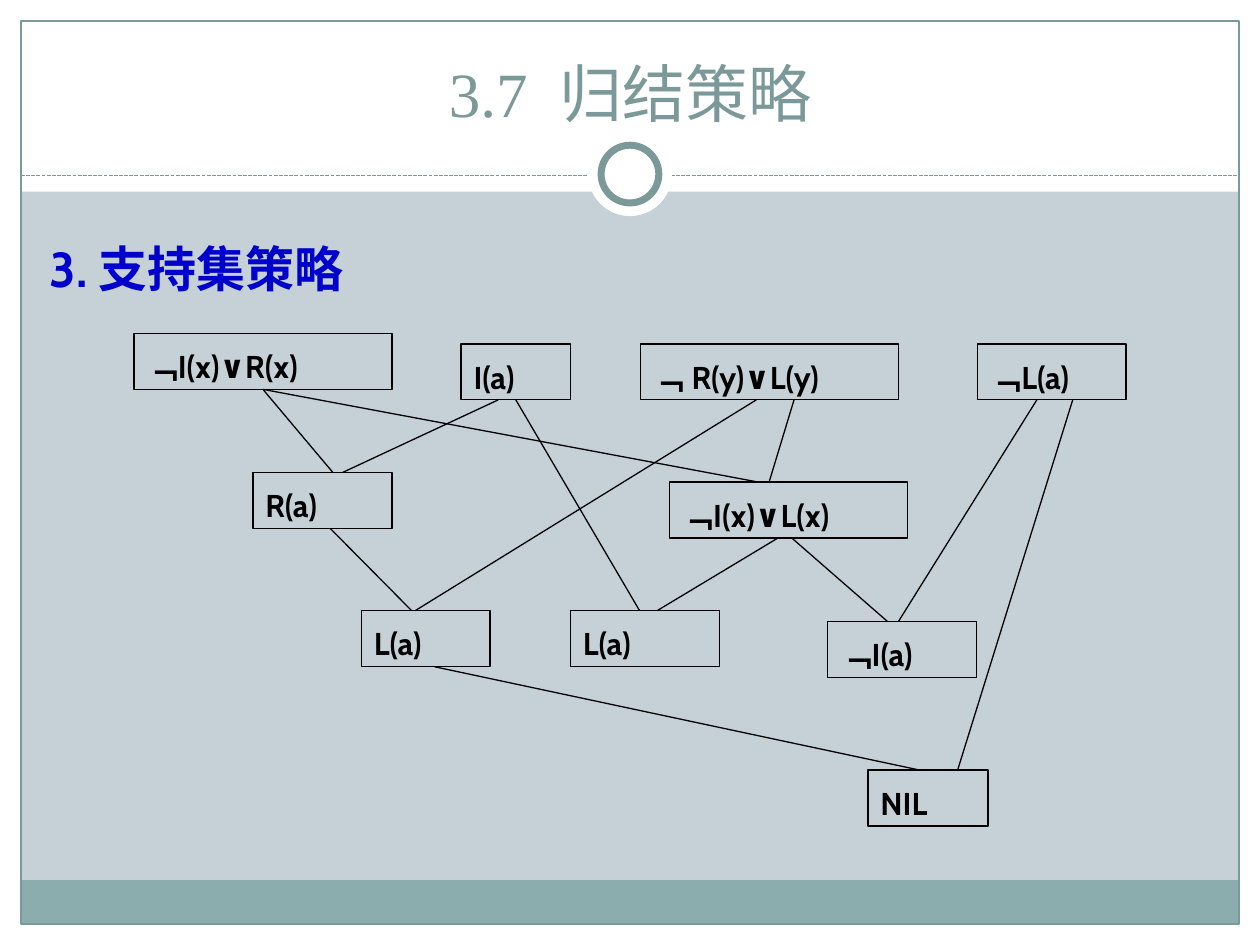
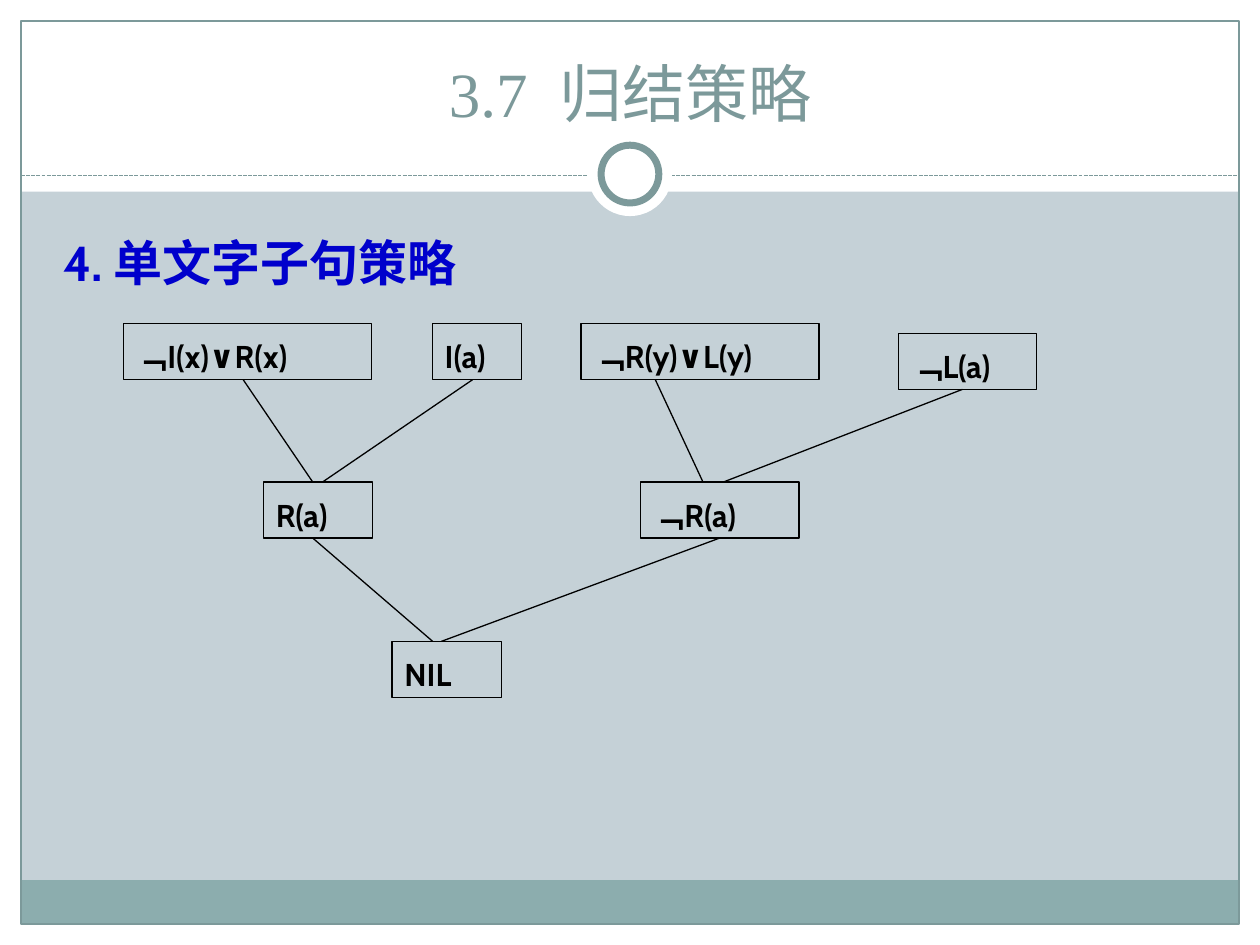
from lxml.etree import SubElement
from pptx import Presentation
from pptx.dml.color import RGBColor
from pptx.enum.dml import MSO_LINE
from pptx.enum.shapes import MSO_CONNECTOR, MSO_SHAPE
from pptx.enum.text import MSO_ANCHOR, MSO_AUTO_SIZE, PP_ALIGN
from pptx.oxml.ns import qn
from pptx.util import Pt

WIDE, HIGH = 720, 540
TEAL, BAND, BACK = "7C999A", "8CADAE", "C5D1D7"
WHITE, BLACK, BLUE = "FFFFFF", "000000", "0000CC"
TOP, BOTTOM = 0, 2
BOX = 32  # height of a clause box


def color(code):
    return RGBColor.from_string(code)


def write(frame, text, font="Cabin", size=18, ink=BLACK, bold=True,
          align=PP_ALIGN.LEFT, anchor=MSO_ANCHOR.TOP, lead=1.2, gap=0):
    """Fill a frame with one paragraph; gap widens its spaces, in points."""
    frame.word_wrap = True
    frame.auto_size = MSO_AUTO_SIZE.NONE
    frame.vertical_anchor = anchor
    para = frame.paragraphs[0]
    para.alignment = align
    para.line_spacing = lead
    para.space_before = Pt(0)
    parts = text.partition(" ") if gap else [text]
    for part in parts:
        run = para.add_run()
        run.text = part
        run.font.name = font
        run.font.size = Pt(size)
        run.font.bold = bold
        run.font.color.rgb = color(ink)
        if part == " ":
            run.font.language_id = None
            run._r.get_or_add_rPr().set("spc", str(gap * 100))


class Deck:
    def __init__(self):
        self.file = Presentation()
        self.file.slide_width, self.file.slide_height = Pt(WIDE), Pt(HIGH)
        self.layout = self.file.slide_layouts[5]
        self.slide = None

    def page(self, title, head, left, top):
        first = self.slide is None
        self.slide = self.file.slides.add_slide(self.layout)
        if first:
            self.frame()
        # Title
        name = self.slide.shapes.title
        name.left, name.top, name.width, name.height = map(Pt, (24, 18, 672, 60))
        write(name.text_frame, title, font="Times New Roman", size=36, ink=TEAL,
              bold=False, align=PP_ALIGN.CENTER, anchor=MSO_ANCHOR.BOTTOM,
              lead=1.0, gap=9)
        # Heading
        area = self.slide.shapes.add_textbox(Pt(left), Pt(top), Pt(390), Pt(47.5))
        write(area.text_frame, head, size=28, ink=BLUE)

    def shape(self, left, top, width, height, fill=None, line=None, weight=0.75,
              kind=MSO_SHAPE.RECTANGLE):
        item = self.slide.shapes.add_shape(kind, *map(Pt, (left, top, width, height)))
        item.shadow.inherit = False
        if fill:
            item.fill.solid()
            item.fill.fore_color.rgb = color(fill)
        else:
            item.fill.background()
        if line:
            item.line.color.rgb = color(line)
            item.line.width = Pt(weight)
        else:
            item.line.fill.background()
        return item

    def line(self, start, end, ink=BLACK, dash=None):
        item = self.slide.shapes.add_connector(
            MSO_CONNECTOR.STRAIGHT, *map(Pt, (*start, *end)))
        item.line.color.rgb = color(ink)
        item.line.width = Pt(0.75)
        if dash:
            item.line.dash_style = dash
        SubElement(item.element.spPr, qn("a:effectLst"))
        return item

    def frame(self):
        """Draw the shared frame and hand it to the layout."""
        fill = self.layout.background.fill
        fill.solid()
        fill.fore_color.rgb = color(BACK)
        edge, mid = 12, WIDE / 2
        # White margins, foot band and border
        parts = [self.shape(*spot, fill=WHITE) for spot in (
            (0, HIGH - edge, WIDE, edge), (0, 0, WIDE, 109.5),
            (0, 0, edge, HIGH), (WIDE - edge, 0, edge, HIGH))]
        parts.append(self.shape(edge, 503, WIDE - 2 * edge, 25, fill=BAND))
        parts.append(self.shape(edge, edge, WIDE - 2 * edge, HIGH - 2 * edge,
                                line=TEAL))
        # Dashed rule and ring
        parts.append(self.line((edge, 100.5), (WIDE - edge, 100.5), ink=TEAL,
                               dash=MSO_LINE.SQUARE_DOT))
        for size, ink in ((48, None), (33, TEAL)):
            parts.append(self.shape(mid - size / 2, 99.5 - size / 2, size, size,
                                    fill=WHITE, line=ink, weight=4,
                                    kind=MSO_SHAPE.OVAL))
        for part in parts:
            self.layout.shapes.element.append(part.element)

    def clause(self, text, left, top, width):
        item = self.shape(left, top, width, BOX, line=BLACK)
        write(item.text_frame, text)
        return item

    def link(self, upper, lower, out=0, into=0):
        """Join two boxes; out and into are offsets from the side's middle."""
        start = upper.left.pt + upper.width.pt / 2 + out, upper.top.pt + BOX
        end = lower.left.pt + lower.width.pt / 2 + into, lower.top.pt
        item = self.line(start, end)
        if not out:
            item.begin_connect(upper, BOTTOM)
        if not into:
            item.end_connect(lower, TOP)

    def graph(self, boxes, links):
        nodes = {key: self.clause(*spec) for key, spec in boxes.items()}
        for upper, lower, out, into in links:
            self.link(nodes[upper], nodes[lower], out, into)


def main():
    deck = Deck()
    title = "3.7 归结策略"

    # Set of support
    deck.page(title, "3. 支持集策略", 21.5, 126)
    deck.graph({
        "IR": ("﹁I(x)∨R(x)", 76.5, 190.5, 147.5),
        "I": ("I(a)", 263.5, 196.5, 62.5),
        "RL": ("﹁ R(y)∨L(y)", 366, 196.5, 147.5),
        "notL": ("﹁L(a)", 558.5, 196.5, 85),
        "R": ("R(a)", 144.5, 270, 79.5),
        "IL": ("﹁I(x)∨L(x)", 382.5, 275.5, 136),
        "L1": ("L(a)", 206.5, 349, 73.5),
        "L2": ("L(a)", 326, 349, 85),
        "notI": ("﹁I(a)", 473, 355, 85),
        "NIL": ("NIL", 496, 440, 68.5),
    }, [
        ("IR", "R", 0, 6), ("I", "R", -10, 11.5),
        ("IR", "IL", 0, -17), ("RL", "IL", 14, -11),
        ("R", "L1", 4.5, -8), ("RL", "L1", -7.5, -6),
        ("I", "L2", 0, -3), ("IL", "L2", -6, 7),
        ("IL", "notI", 2, -8.5), ("notL", "notI", -8.5, -2),
        ("L1", "NIL", 5, -5), ("notL", "NIL", 12, 17),
    ])

    # Unit clauses
    deck.page(title, "4. 单文字子句策略", 29, 122.5)
    deck.graph({
        "IR": ("﹁I(x)∨R(x)", 70.5, 185, 142),
        "I": ("I(a)", 247, 185, 51),
        "RL": ("﹁R(y)∨L(y)", 332, 185, 136),
        "notL": ("﹁L(a)", 513.5, 190.5, 79),
        "R": ("R(a)", 150.5, 275.5, 62.5),
        "notR": ("﹁R(a)", 366, 275.5, 90.5),
        "NIL": ("NIL", 224, 366.5, 62.5),
    }, [
        ("IR", "R", -2.5, -3), ("I", "R", -2.5, 2.5),
        ("RL", "notR", -25.5, -9.5), ("notL", "notR", -3, 2),
        ("R", "NIL", -3, -8), ("notR", "NIL", 0, -3),
    ])
    deck.file.save("out.pptx")


if __name__ == "__main__":
    main()
